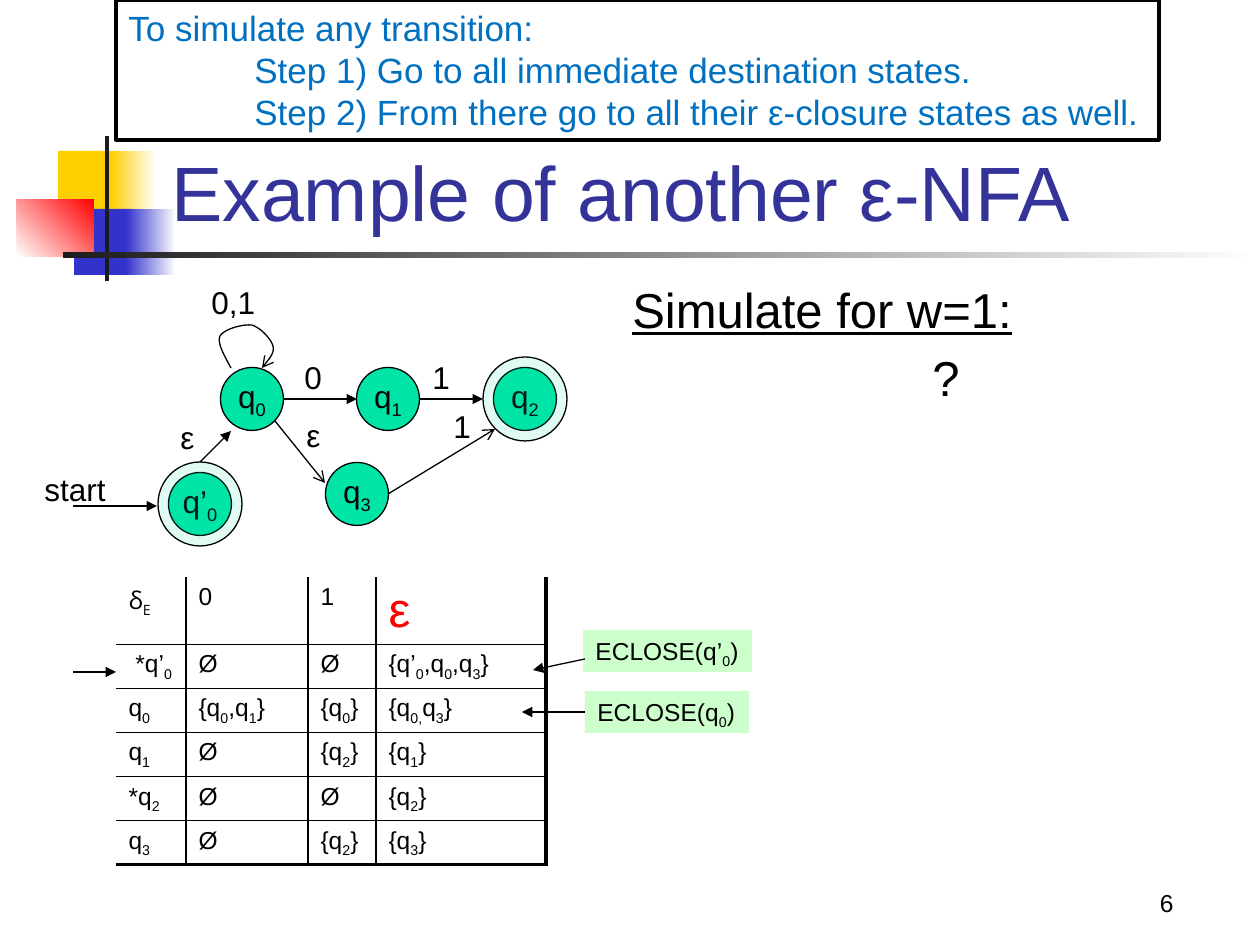
from lxml.etree import SubElement as Sub
from pptx import Presentation
from pptx.dml.color import RGBColor as RGB
from pptx.enum.shapes import MSO_CONNECTOR as Conn, MSO_SHAPE as Geo
from pptx.enum.text import MSO_ANCHOR as Anchor, MSO_AUTO_SIZE as Auto, PP_ALIGN as Align
from pptx.oxml import parse_xml
from pptx.oxml.ns import nsdecls, qn
from pptx.util import Pt

PX = 914400 / 126
BLACK, WHITE, RED = RGB(0, 0, 0), RGB(255, 255, 255), RGB(255, 0, 0)
GOLD, BLUE, DARK = RGB(0xFF, 0xCF, 0x01), RGB(0x33, 0x33, 0xCC), RGB(0x1C, 0x1C, 0x1C)
NAVY, SKY = RGB(0x33, 0x33, 0x99), RGB(0x00, 0x70, 0xC0)
GREEN, MINT = RGB(0x00, 0xE4, 0xA8), RGB(0xCC, 0xFF, 0xCC)

# Text between tildes is subscript
DECOR = [  # box, fill (two colours make a gradient), angle
    ((58, 151, 60, 66), (GOLD,), 0),
    ((111, 151, 45, 66), (GOLD, WHITE), 0),
    ((74, 209, 58, 66), (BLUE,), 0),
    ((126, 209, 50, 66), (BLUE, WHITE), 0),
    ((17, 199, 77, 58), (WHITE, RED), 45),
    ((105, 136, 4, 145), (DARK,), 0),
    ((63, 252, 1197, 6), (DARK, WHITE), 0),
]
STEPS = [
    ("To simulate any transition:", 0),
    ("Step 1) Go to all immediate destination states.", 126),
    ("Step 2) From there go to all their ε-closure states as well.", 126),
]
STATES = [  # name, centre, accepting
    ("q~0~", (252, 399), False),
    ("q~1~", (388, 399), False),
    ("q~2~", (525, 399), True),
    ("q’~0~", (200, 504), True),
    ("q~3~", (357, 494), False),
]
EDGES = [  # from, to, arrowhead
    ((73, 506), (157, 506), "triangle"),
    ((284, 399), (357, 399), "triangle"),
    ((420, 399), (483, 399), "triangle"),
    ((200, 462), (231, 431), "triangle"),
    ((275, 421), (325, 483), "arrow"),
    ((388, 494), (495, 429), "arrow"),
    ((73, 672), (116, 672), "triangle"),
]
LABELS = [
    ("start", (32, 464, 87, 50)),
    ("0,1", (199, 277, 69, 50)),
    ("0", (292, 352, 43, 50)),
    ("1", (420, 352, 43, 50)),
    ("ε", (168, 412, 39, 50)),
    ("ε", (294, 410, 39, 50)),
    ("1", (441, 401, 43, 50)),
]
LOOP = [(231, 368), (224, 355), (217, 343), (220, 336), (224, 329), (243, 324), (252, 325),
        (261, 328), (271, 339), (273, 346), (275, 354), (268, 360), (262, 368)]
ROWS = [
    ["δ~E~", "0", "1", "ε"],
    [" *q’~0~", "Ø", "Ø", "{q’~0~,q~0~,q~3~}"],
    ["q~0~", "{q~0~,q~1~}", "{q~0~}", "{q~0,~q~3~}"],
    ["q~1~", "Ø", "{q~2~}", "{q~1~}"],
    ["*q~2~", "Ø", "Ø", "{q~2~}"],
    ["q~3~", "Ø", "{q~2~}", "{q~3~}"],
]
WIDTHS, HIGHS = [70, 122, 68, 170], [67] + [44] * 5
CLOSE = [  # text, box, arrow start, arrow end
    ("ECLOSE(q’~0~)", (583, 630, 169, 42), (585, 659), (533, 670)),
    ("ECLOSE(q~0~)", (585, 691, 164, 42), (585, 712), (522, 712)),
]

deck = Presentation()
deck.slide_width, deck.slide_height = round(1260 * PX), round(945 * PX)
slide = deck.slides.add_slide(deck.slide_layouts[6])
shapes = slide.shapes


def emu(vals):
    return [round(v * PX) for v in vals]


def write(frame, text, size=18, color=BLACK, font="Arial", align=Align.LEFT, first=True,
          gap=0, left=0, under=None):
    para = frame.paragraphs[0] if first else frame.add_paragraph()
    para.alignment, para.space_before = align, Pt(gap)
    if left:
        props = para._p.get_or_add_pPr()
        props.set("marL", str(round(left * PX)))
        props.set("indent", "0")
    for i, part in enumerate(text.split("~")):
        if part:
            run = para.add_run()
            run.text = part
            run.font.size, run.font.name, run.font.underline = Pt(size), font, under
            run.font.color.rgb = color
            if i % 2:
                run._r.get_or_add_rPr().set("baseline", "-25000")


def setup(frame, wrap=True, anchor=Anchor.TOP, grow=False):
    frame.word_wrap, frame.vertical_anchor = wrap, anchor
    frame.auto_size = Auto.SHAPE_TO_FIT_TEXT if grow else Auto.NONE
    return frame


def textbox(box, **kw):
    return setup(shapes.add_textbox(*emu(box)).text_frame, **kw)


def shape(geo, box, fills, line=0, angle=0):
    item = shapes.add_shape(geo, *emu(box))
    item.shadow.inherit = False
    if len(fills) == 1:
        item.fill.solid()
        item.fill.fore_color.rgb = fills[0]
    else:
        item.fill.gradient()
        item.fill.gradient_angle = angle
        for stop, color, pos in zip(item.fill.gradient_stops, fills, (0, 1)):
            stop.color.rgb, stop.position = color, pos
    if line:
        item.line.color.rgb, item.line.width = BLACK, Pt(line)
    else:
        item.line.fill.background()
    return item


def tip(item, head):
    item.line.color.rgb, item.line.width = BLACK, Pt(0.75)
    Sub(item.line._get_or_add_ln(), qn("a:tailEnd"), type=head)


def arrow(start, end, head="triangle"):
    item = shapes.add_connector(Conn.STRAIGHT, *emu(start + end))
    tip(item, head)
    Sub(item._element.spPr, qn("a:effectLst"))
    return item


def curve(pts, steps=10):
    for k in range(0, len(pts) - 1, 3):
        a, b, c, d = pts[k:k + 4]
        for t in (n / steps for n in range(1, steps + 1)):
            u = 1 - t
            yield emu(u**3 * p + 3 * u * u * t * q + 3 * u * t * t * r + t**3 * s
                      for p, q, r, s in zip(a, b, c, d))


def border(cell, sides):
    props = cell._tc.get_or_add_tcPr()
    for i, (side, width) in enumerate(sides):
        paint = '<a:solidFill><a:srgbClr val="000000"/></a:solidFill>' if width else "<a:noFill/>"
        props.insert(i, parse_xml(
            f'<a:ln{side} {nsdecls("a")} w="{Pt(width)}">{paint}</a:ln{side}>'))


# Background ornament, page number and title
for box, fills, angle in DECOR:
    shape(Geo.RECTANGLE, box, fills, angle=angle)
write(textbox((924, 861, 262, 63), anchor=Anchor.BOTTOM), "6", size=14, align=Align.RIGHT)
write(textbox((159, 86, 1074, 157), anchor=Anchor.BOTTOM), "Example of another ε-NFA",
      size=44, color=NAVY)

# Transition table
grid = shapes.add_table(len(ROWS), len(WIDTHS),
                        *emu((116, 577, sum(WIDTHS), sum(HIGHS)))).table
grid.first_row = grid.horz_banding = False
for col, width in zip(grid.columns, emu(WIDTHS)):
    col.width = width
for r, (row, high) in enumerate(zip(ROWS, emu(HIGHS))):
    grid.rows[r].height = high
    for c, text in enumerate(row):
        cell = grid.cell(r, c)
        cell.fill.background()
        border(cell, [("L", 1 if c else 0), ("R", 1 if c < len(row) - 1 else 2.25),
                      ("T", 1 if r else 0), ("B", 1 if r < len(ROWS) - 1 else 2.25)])
        big = text == "ε"
        size = 28 if big else 14
        write(cell.text_frame, text, size=size, color=RED if big else BLACK, gap=size / 5,
              font="Open Sans" if "δ" in text else "Arial")

# Question
body = textbox((620, 273, 525, 105))
write(body, "Simulate for w=1:", size=28, gap=5.6, under=True)
write(body, "?", size=28, gap=5.6, left=300, first=False)

# State diagram
for name, (x, y), final in STATES:
    disc = shape(Geo.OVAL, (x - 31.5, y - 31.5, 63, 63), (GREEN,), line=0.75)
    write(setup(disc.text_frame, wrap=False, anchor=Anchor.MIDDLE), name, align=Align.CENTER)
    if final:
        ring = shape(Geo.OVAL, (x - 42, y - 42, 84, 84), (GREEN,), line=0.75)
        tint = ring._element.spPr.find(qn("a:solidFill"))[0]
        Sub(tint, qn("a:alpha"), val="12000")
for edge in EDGES:
    arrow(*edge)
pen = shapes.build_freeform(*emu(LOOP[0]))
pen.add_line_segments(list(curve(LOOP)), close=False)
loop = pen.convert_to_shape()
loop.shadow.inherit = False
loop.fill.background()
tip(loop, "arrow")
for text, box in LABELS:
    write(textbox(box, wrap=False, grow=True), text)

# Rule for simulating a transition
rule = shape(Geo.RECTANGLE, (116, 0, 1043, 140), (WHITE,), line=2)
setup(rule.text_frame)
for i, (text, left) in enumerate(STEPS):
    write(rule.text_frame, text, size=20, color=SKY, left=left, first=i == 0)

# Closure notes
for text, box, start, end in CLOSE:
    note = shape(Geo.RECTANGLE, box, (MINT,))
    write(setup(note.text_frame, wrap=False, grow=True), text, size=14)
    link = arrow(start, end)
    if start[1] == box[1] + box[3] / 2:
        link.begin_connect(note, 1)

deck.save("out.pptx")
